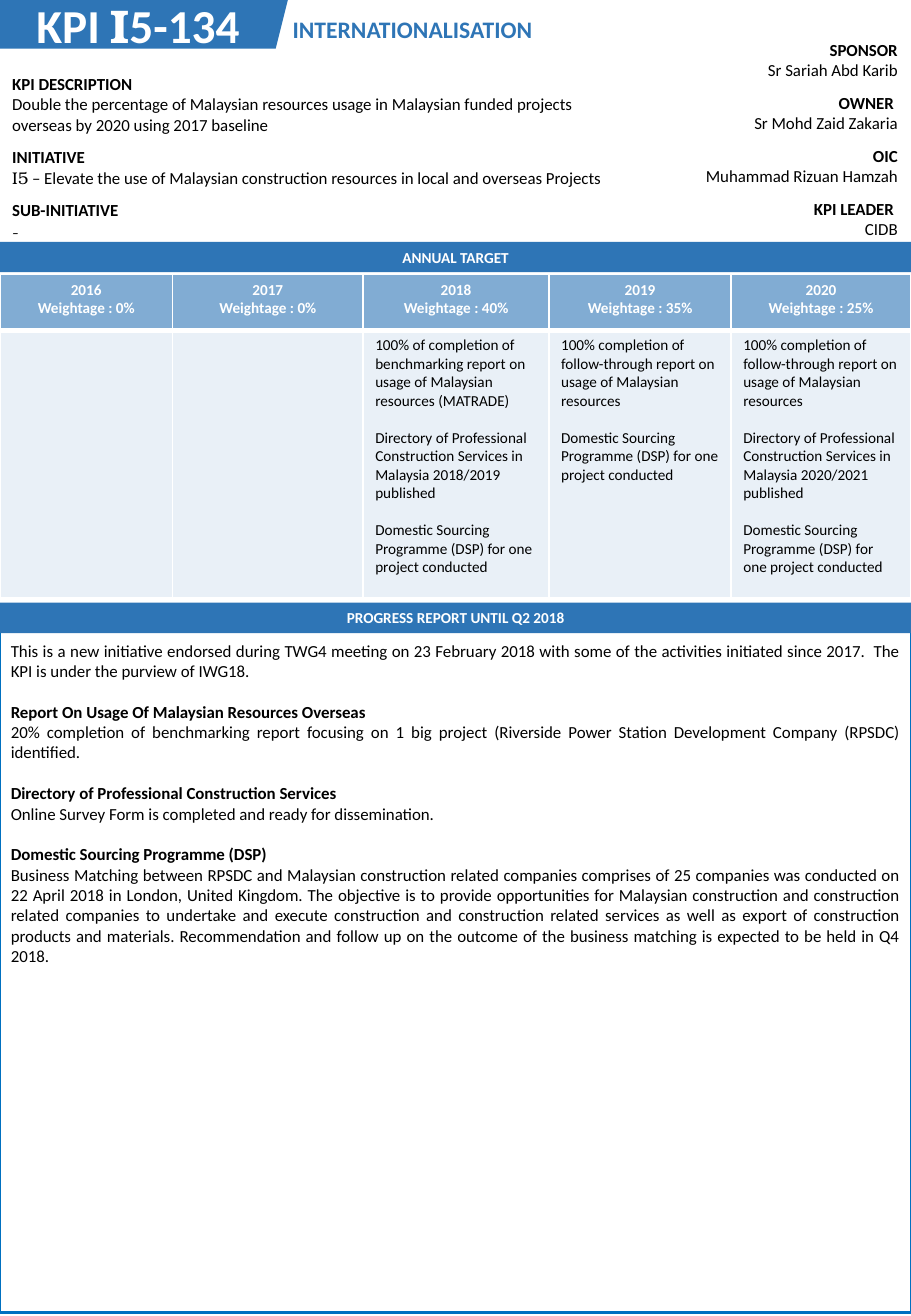
from dataclasses import dataclass

from lxml import etree
from pptx import Presentation
from pptx.dml.color import RGBColor
from pptx.enum.shapes import MSO_SHAPE
from pptx.enum.text import MSO_ANCHOR, MSO_AUTO_SIZE, PP_ALIGN
from pptx.oxml.ns import qn
from pptx.shapes.autoshape import Shape
from pptx.slide import Slide
from pptx.table import Table, _Cell
from pptx.text.text import TextFrame
from pptx.util import Inches, Pt

BLUE = RGBColor(0x2E, 0x75, 0xB6)
FRAME_BLUE = RGBColor(0x00, 0x70, 0xC0)
WHITE = RGBColor(0xFF, 0xFF, 0xFF)
BLACK = RGBColor(0x00, 0x00, 0x00)
SANS, SERIF = "Calibri", "TeX Gyre Bonum"
LEFT, CENTER, RIGHT, JUSTIFY = PP_ALIGN.LEFT, PP_ALIGN.CENTER, PP_ALIGN.RIGHT, PP_ALIGN.JUSTIFY
RECTANGLE, PARALLELOGRAM = MSO_SHAPE.RECTANGLE, MSO_SHAPE.PARALLELOGRAM
TOP, MIDDLE = MSO_ANCHOR.TOP, MSO_ANCHOR.MIDDLE
NO_AUTOFIT = MSO_AUTO_SIZE.NONE
PAGE_WIDTH = 7.5


@dataclass(frozen=True)
class Line:
    """One paragraph; the last occurrence of serif in its text is set in the serif face."""
    text: str
    bold: bool = False
    gap: float = 0
    serif: str = ""
    spacing: float = 1.0


@dataclass(frozen=True)
class YearTarget:
    year: str
    weightage: str
    width: float
    targets: tuple[str, ...] = ()


DSP = "Domestic Sourcing Programme (DSP) for one project conducted"
FOLLOW_THROUGH = "100% completion of follow-through report on usage of Malaysian resources"
DIRECTORY = "Directory of Professional Construction Services in Malaysia {} published"

YEARS = [
    YearTarget("2016", "0%", 1.42),
    YearTarget("2017", "0%", 1.57),
    YearTarget("2018", "40%", 1.53, (
        "100% of completion of benchmarking report on usage of Malaysian resources (MATRADE)",
        DIRECTORY.format("2018/2019"), DSP)),
    YearTarget("2019", "35%", 1.5, (FOLLOW_THROUGH, DSP)),
    YearTarget("2020", "25%", 1.48, (FOLLOW_THROUGH, DIRECTORY.format("2020/2021"), DSP)),
]

CONTACTS = [
    [Line("SPONSOR", True), Line("Sr Sariah Abd Karib")],
    [Line("OWNER ", True), Line("Sr Mohd Zaid Zakaria")],
    [Line("OIC", True), Line("Muhammad Rizuan Hamzah")],
    [Line("KPI LEADER ", True), Line("CIDB")],
]

DETAILS = [
    [Line("KPI DESCRIPTION", True),
     Line("Double the percentage of Malaysian resources usage in Malaysian funded projects "
          "overseas by 2020 using 2017 baseline")],
    [Line("INITIATIVE", True),
     Line("I5 – Elevate the use of Malaysian construction resources in local and overseas Projects",
          serif="I5", spacing=0.88)],
    [Line("SUB-INITIATIVE", True), Line("-", serif="-")],
]

REPORT = [
    Line("This is a new initiative endorsed during TWG4 meeting on 23 February 2018 with some of "
         "the activities initiated since 2017.  The KPI is under the purview of IWG18."),
    Line("Report On Usage Of Malaysian Resources Overseas", True, 12.2),
    Line("20% completion of benchmarking report focusing on 1 big project (Riverside Power Station "
         "Development Company (RPSDC) identified."),
    Line("Directory of Professional Construction Services", True, 12.2),
    Line("Online Survey Form is completed and ready for dissemination."),
    Line("Domestic Sourcing Programme (DSP)", True, 12.2),
    Line("Business Matching between RPSDC and Malaysian construction related companies comprises "
         "of 25 companies was conducted on 22 April 2018 in London, United Kingdom. The objective "
         "is to provide opportunities for Malaysian construction and construction related companies "
         "to undertake and execute construction and construction related services as well as export "
         "of construction products and materials. Recommendation and follow up on the outcome of "
         "the business matching is expected to be held in Q4 2018."),
]


def write(tf: TextFrame, lines: list[Line], size: float, color: RGBColor = BLACK,
          align: PP_ALIGN = LEFT) -> None:
    for i, line in enumerate(lines):
        p = tf.add_paragraph() if i else tf.paragraphs[0]
        p.alignment = align
        p.space_before = Pt(line.gap)
        p.line_spacing = line.spacing
        parts = line.text.rpartition(line.serif) if line.serif else (line.text,)
        for part in filter(None, parts):
            r = p.add_run()
            r.text = part
            r.font.name = SERIF if part == line.serif else SANS
            r.font.size = Pt(size)
            r.font.bold = line.bold
            r.font.color.rgb = color


def add_block(slide: Slide, kind: MSO_SHAPE, x: float, y: float, w: float, h: float) -> Shape:
    sp = slide.shapes.add_shape(kind, Inches(x), Inches(y), Inches(w), Inches(h))
    sp.shadow.inherit = False
    sp.fill.solid()
    sp.fill.fore_color.rgb = BLUE
    sp.line.fill.background()
    return sp


def add_banner(slide: Slide, y: float, text: str) -> None:
    sp = add_block(slide, RECTANGLE, 0, y, PAGE_WIDTH, 0.25)
    sp.text_frame.vertical_anchor = MIDDLE
    write(sp.text_frame, [Line(text, True)], 9, WHITE, CENTER)


def add_text(slide: Slide, x: float, y: float, w: float, h: float, wrap: bool) -> TextFrame:
    tf = slide.shapes.add_textbox(Inches(x), Inches(y), Inches(w), Inches(h)).text_frame
    tf.word_wrap = wrap
    return tf


def add_grid(slide: Slide, x: float, y: float, widths: list[float], heights: list[float]) -> Table:
    table = slide.shapes.add_table(len(heights), len(widths), Inches(x), Inches(y),
                                   Inches(sum(widths)), Inches(sum(heights))).table
    table.first_row = table.horz_banding = False
    for column, width in zip(table.columns, widths):
        column.width = Inches(width)
    for row, height in zip(table.rows, heights):
        row.height = Inches(height)
    return table


def add_plain_list(slide: Slide, x: float, y: float, width: float, heights: list[float],
                   entries: list[list[Line]], align: PP_ALIGN) -> None:
    """One-column table without fill, one entry a row."""
    table = add_grid(slide, x, y, [width], heights)
    for cell, lines in zip(table.iter_cells(), entries):
        cell.fill.background()
        write(cell.text_frame, lines, 10, align=align)


def style_cell(cell: _Cell, opacity: int, bottom: float, top: float) -> None:
    """White borders, then a see-through blue fill."""
    tc_pr = cell._tc.get_or_add_tcPr()
    for side, width in (("lnL", 1), ("lnR", 1), ("lnT", top), ("lnB", bottom)):
        ln = etree.SubElement(tc_pr, qn(f"a:{side}"), w=str(Pt(width)))
        fill = etree.SubElement(ln, qn("a:solidFill"))
        etree.SubElement(fill, qn("a:srgbClr"), val=str(WHITE))
    cell.fill.solid()
    cell.fill.fore_color.rgb = BLUE
    color = tc_pr.find(f"{qn('a:solidFill')}/{qn('a:srgbClr')}")
    etree.SubElement(color, qn("a:alpha"), val=str(opacity * 1000))


def add_targets(slide: Slide) -> None:
    table = add_grid(slide, 0, 2.26, [y.width for y in YEARS], [0.46, 2.2])
    for col, year in enumerate(YEARS):
        head, body = table.cell(0, col), table.cell(1, col)
        style_cell(head, 60, bottom=3, top=1)
        style_cell(body, 10, bottom=1, top=3)
        heading = [Line(year.year, True), Line(f"Weightage : {year.weightage}", True)]
        write(head.text_frame, heading, 9, WHITE, CENTER)
        targets = [Line(t, gap=11 if i else 0) for i, t in enumerate(year.targets)]
        write(body.text_frame, targets, 9)


def add_title(slide: Slide) -> None:
    badge = add_block(slide, PARALLELOGRAM, -0.17, 0, 2.54, 0.4)
    title = slide.shapes.title
    title.element.addprevious(badge.element)
    title.left, title.top = Inches(0.2), Inches(-0.08)
    title.width, title.height = Inches(2.24), Inches(0.57)
    tf = title.text_frame
    tf.auto_size = NO_AUTOFIT
    tf.vertical_anchor = TOP
    write(tf, [Line("KPI I5-134", True, serif="I")], 28, WHITE)


def main() -> None:
    prs = Presentation()
    prs.slide_width, prs.slide_height = Inches(PAGE_WIDTH), Inches(10.83)
    slide = prs.slides.add_slide(prs.slide_layouts[5])
    add_title(slide)
    add_targets(slide)
    frame = add_block(slide, RECTANGLE, 0, 4.97, PAGE_WIDTH, 5.83)
    frame.fill.background()
    frame.line.color.rgb = FRAME_BLUE
    frame.line.width = Pt(1.5)
    add_plain_list(slide, 4.73, 0.28, 2.76, [0.43] * 4, CONTACTS, RIGHT)
    add_plain_list(slide, 0, 0.56, 5.15, [0.6, 0.42, 0.42], DETAILS, LEFT)
    write(add_text(slide, -0.01, 5.22, 7.51, 2.79, True), REPORT, 10, align=JUSTIFY)
    write(add_text(slide, 2.31, 0.07, 2.29, 0.34, False),
          [Line("INTERNATIONALISATION", True)], 14, BLUE)
    add_banner(slide, 4.96, "PROGRESS REPORT UNTIL Q2 2018")
    add_banner(slide, 1.99, "ANNUAL TARGET")
    prs.save("out.pptx")


if __name__ == "__main__":
    main()
